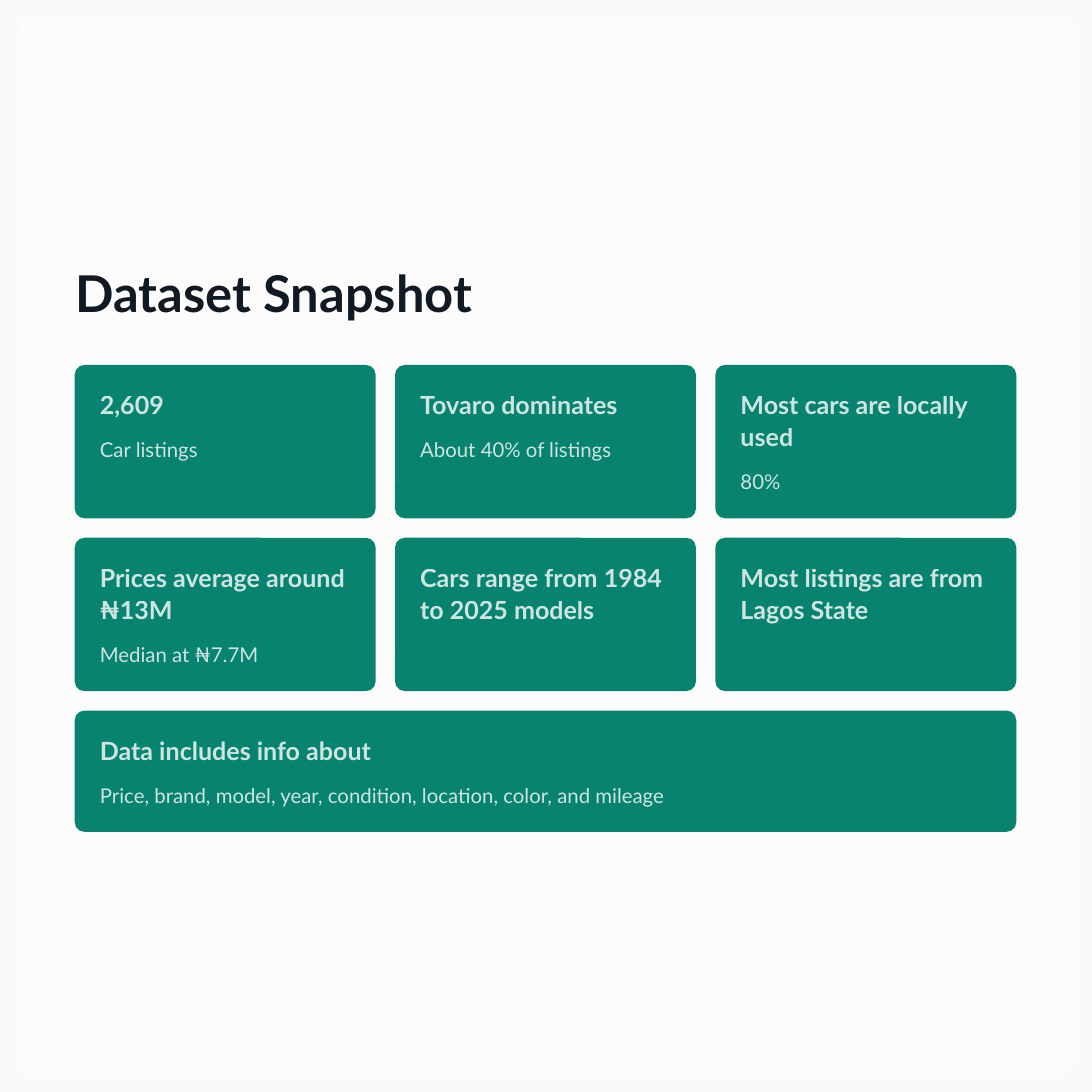
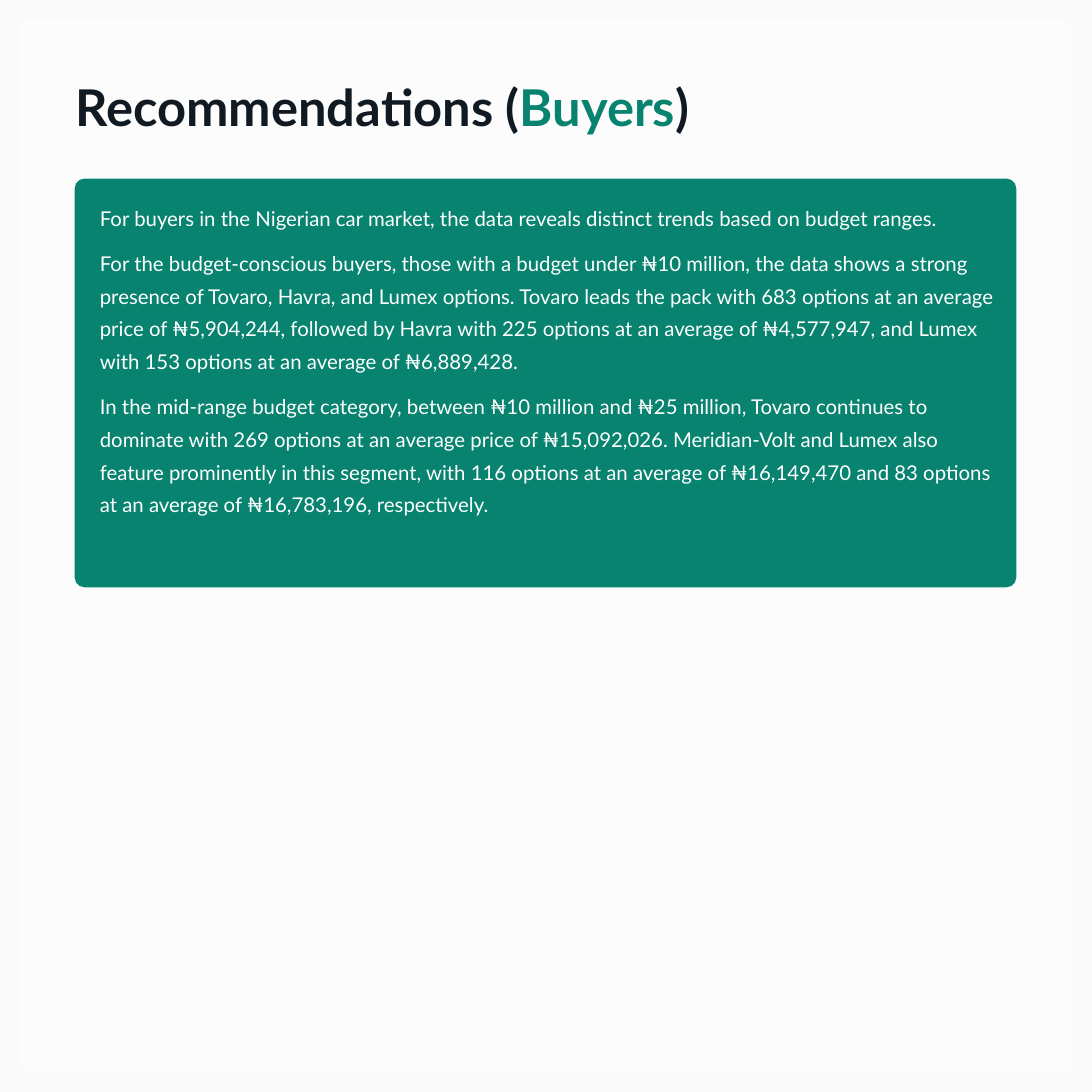
from lxml import etree
from pptx import Presentation
from pptx.dml.color import RGBColor
from pptx.enum import shapes, text
from pptx.oxml import ns
from pptx.util import Inches, Pt

# Shared look
WHITE = RGBColor(0xFF, 0xFF, 0xFF)
PAGE = RGBColor(0xFA, 0xFA, 0xFA)
INK = RGBColor(0x11, 0x1A, 0x23)
GREEN = RGBColor(0x07, 0x83, 0x6F)
ROUND = shapes.MSO_SHAPE.ROUNDED_RECTANGLE
TITLE = dict(name="Lato", size=Pt(37.6), bold=True)
HEAD = dict(name="Lato", size=Pt(18.6), bold=True)
BODY = dict(name="Lato", size=Pt(15.1), bold=False)
LEFT, WIDE, GAP = 0.77, 9.7, 0.2


def fade(node, share):
    """Give every colour below node an opacity in percent."""
    for tint in node.iter(ns.qn("a:srgbClr")):
        etree.SubElement(tint, ns.qn("a:alpha"), val=str(share * 1000))


def fill_text(frame, paras, inset=(0, 0, 0, 0)):
    """Write paragraphs given as (runs, format, line height, space before)."""
    form = dict(word_wrap=True, auto_size=text.MSO_AUTO_SIZE.NONE,
                vertical_anchor=text.MSO_ANCHOR.TOP)
    sides = ("left", "top", "right", "bottom")
    form.update({f"margin_{s}": Inches(n) for s, n in zip(sides, inset)})
    for key, val in form.items():
        setattr(frame, key, val)
    for i, (runs, style, line, space) in enumerate(paras):
        para = frame.add_paragraph() if i else frame.paragraphs[0]
        para.alignment = text.PP_ALIGN.LEFT
        para.line_spacing, para.space_before = Pt(line), Pt(space)
        for words, color in runs:
            run = para.add_run()
            run.text = words
            for key, val in style.items():
                setattr(run.font, key, val)
            run.font.color.rgb = color


# Content: title runs, title top, text inset, text opacity, cards
# Each card: left, top, width, height, paragraphs
cells = [
    ("2,609", "Car listings"),
    ("Tovaro dominates", "About 40% of listings"),
    ("Most cars are locally used", "80%"),
    ("Prices average around ₦13M", "Median at ₦7.7M"),
    ("Cars range from 1984 to 2025 models",),
    ("Most listings are from Lagos State",),
    ("Data includes info about",
     "Price, brand, model, year, condition, location, color, and mileage"),
]
advice = [
    "For buyers in the Nigerian car market, the data reveals distinct trends "
    "based on budget ranges.",
    "For the budget-conscious buyers, those with a budget under ₦10 million, "
    "the data shows a strong presence of Tovaro, Havra, and Lumex options. "
    "Tovaro leads the pack with 683 options at an average price of ₦5,904,244, "
    "followed by Havra with 225 options at an average of ₦4,577,947, and Lumex "
    "with 153 options at an average of ₦6,889,428.",
    "In the mid-range budget category, between ₦10 million and ₦25 million, "
    "Tovaro continues to dominate with 269 options at an average price of "
    "₦15,092,026. Meridian-Volt and Lumex also feature prominently in this "
    "segment, with 116 options at an average of ₦16,149,470 and 83 options at "
    "an average of ₦16,783,196, respectively.",
]

# Grid of three columns; the last card spans the full width
col, tall, low = (WIDE - 2 * GAP) / 3, 1.58, 1.25
grid = []
for i, cell in enumerate(cells):
    paras = [([(cell[0], WHITE)], HEAD, 23.6, 0)]
    paras += [([(words, WHITE)], BODY, 24.2, 6.6) for words in cell[1:]]
    last = i == len(cells) - 1
    grid.append((LEFT + i % 3 * (col + GAP), 3.76 + i // 3 * (tall + GAP),
                 WIDE if last else col, low if last else tall, paras))

block = [([(words, WHITE)], BODY, 24.2, 9.3 if i else 0)
         for i, words in enumerate(advice)]
pages = [
    ([("Dataset Snapshot", INK)], 2.67, 0.21, 80, grid),
    ([("Recommendations (", INK), ("Buyers", GREEN), (")", INK)],
     0.75, 0.17, 100, [(LEFT, 1.84, WIDE, 4.21, block)]),
]

# Page size, background and layout
prs = Presentation()
prs.slide_width = prs.slide_height = Inches(11.25)
back = prs.slide_master.background.fill
back.solid()
back.fore_color.rgb = PAGE
layout = prs.slide_layouts.get_by_name("Title Only")

# Slides
for heading, top, inset, share, cards in pages:
    slide = prs.slides.add_slide(layout)
    title = slide.shapes.title
    place = dict(left=0.78, top=top, width=9.69, height=0.7)
    for key, val in place.items():
        setattr(title, key, Inches(val))
    fill_text(title.text_frame, [(heading, TITLE, 47.1, 0)])

    for x, y, w, h, paras in cards:
        card = slide.shapes.add_shape(ROUND, *map(Inches, (x, y, w, h)))
        card.adjustments[0] = 0.1 / min(w, h)
        card.shadow.inherit = False
        card.fill.solid()
        card.fill.fore_color.rgb = GREEN
        card.line.fill.background()
        fill_text(card.text_frame, paras, (0.23, inset, 0.2, 0.1))
        if share < 100:
            for para in card.text_frame.paragraphs:
                fade(para._p, share)

# Pale panel, kept on the layout behind both slides
panel = slide.shapes.add_shape(ROUND, *map(Inches, (0.19, 0.19, 10.87, 10.87)))
panel.adjustments[0] = 0.15 / 10.87
panel.shadow.inherit = False
panel.fill.solid()
panel.fill.fore_color.rgb = WHITE
panel.line.fill.background()
fade(panel.element.spPr, 56)
layout.shapes.element.insert(2, panel.element)

prs.save("out.pptx")
